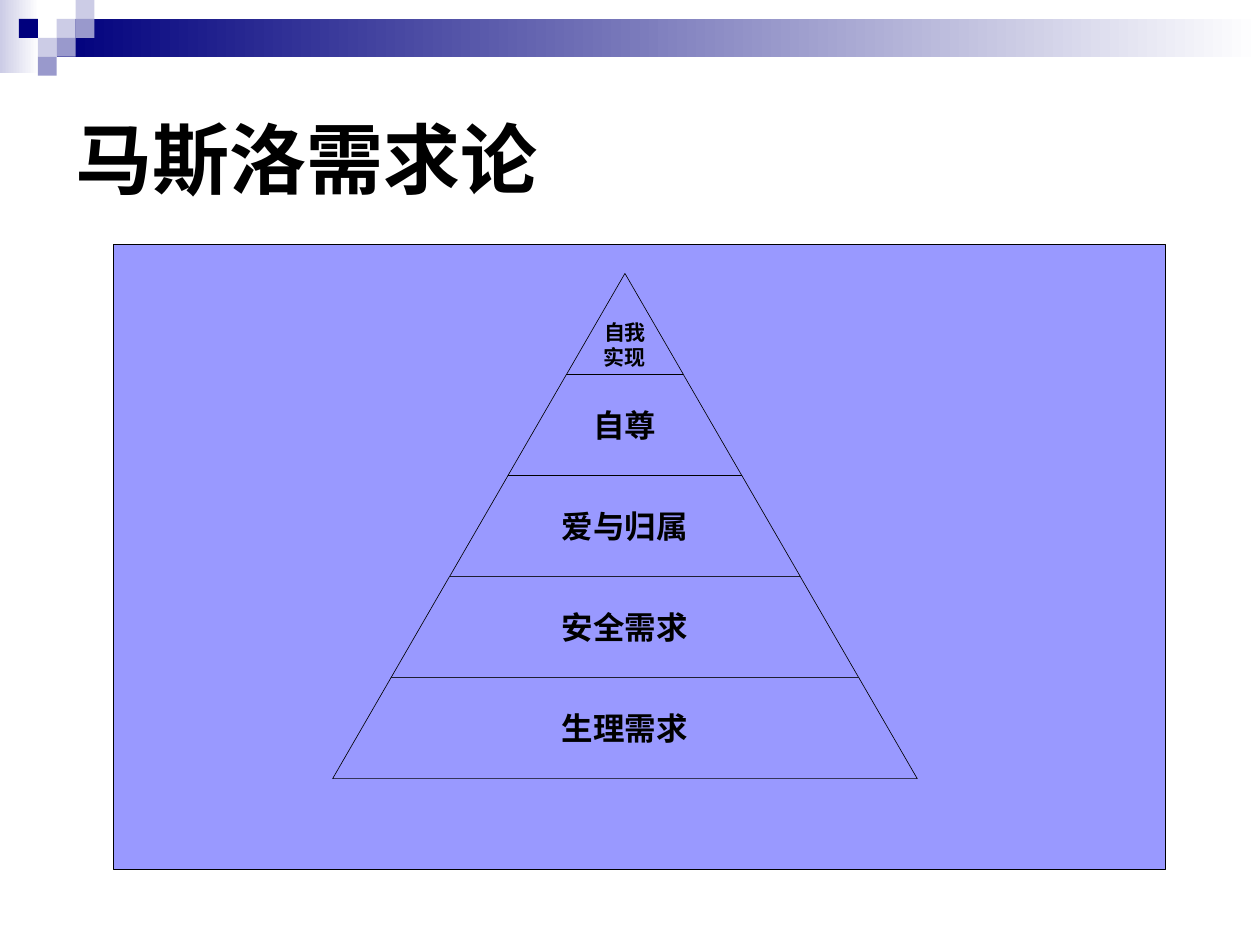
import pptx
import pptx.dml.color
import pptx.enum.shapes
import pptx.enum.text
import pptx.util

Inches = pptx.util.Inches
RGBColor = pptx.dml.color.RGBColor

BLACK = RGBColor(0x00, 0x00, 0x00)
WHITE = RGBColor(0xFF, 0xFF, 0xFF)
NAVY = RGBColor(0x00, 0x00, 0x7D)
LAVENDER = RGBColor(0xCC, 0xCC, 0xE6)
MID_BLUE = RGBColor(0x99, 0x99, 0xCC)
PERIWINKLE = RGBColor(0x99, 0x99, 0xFF)

NEEDS = ["自我实现", "自尊", "爱与归属", "安全需求", "生理需求"]


def add_rectangle(shapes, left, top, width, height):
    rectangle = shapes.add_shape(
        pptx.enum.shapes.MSO_SHAPE.RECTANGLE,
        Inches(left), Inches(top), Inches(width), Inches(height))
    rectangle.shadow.inherit = False
    rectangle.line.fill.background()
    return rectangle


def fill_fading_to_white(shape, color):
    shape.fill.gradient()
    shape.fill.gradient_angle = 0
    for stop, stop_color, position in zip(
            shape.fill.gradient_stops, (color, WHITE), (0, 1)):
        stop.color.rgb = stop_color
        stop.position = position


def fill_and_outline(shape, line_width):
    shape.fill.solid()
    shape.fill.fore_color.rgb = PERIWINKLE
    shape.line.color.rgb = BLACK
    shape.line.width = pptx.util.Pt(line_width)


def format_text(text_frame, size, alignment):
    text_frame.vertical_anchor = pptx.enum.text.MSO_ANCHOR.MIDDLE
    paragraph = text_frame.paragraphs[0]
    paragraph.alignment = alignment
    for run in paragraph.runs:
        run.font.name = "Arial"
        run.font.size = pptx.util.Pt(size)
        run.font.bold = True
        run.font.color.rgb = BLACK


def fit_label_in_apex(text_frame):
    """Wrap the label to two short lines near the base of the top triangle."""
    text_frame.word_wrap = True
    text_frame.margin_left = text_frame.margin_right = Inches(0.26)
    text_frame.margin_top = Inches(0)
    text_frame.margin_bottom = Inches(0.04)
    text_frame.vertical_anchor = pptx.enum.text.MSO_ANCHOR.BOTTOM
    text_frame.paragraphs[0].line_spacing = pptx.util.Pt(14)


def add_header(slide, left, top, width):
    shapes = slide.shapes.add_group_shape().shapes
    square = 0.15
    corner = add_rectangle(shapes, left, top, 0.31, 0.58)
    fill_fading_to_white(corner, LAVENDER)
    band = add_rectangle(shapes, left + 3 * square, top + square,
                         width - 3 * square, 2 * square)
    fill_fading_to_white(band, NAVY)
    mosaic = [(3, 1, LAVENDER), (4, 0, LAVENDER), (4, 1, MID_BLUE),
              (2, 2, LAVENDER), (1, 1, NAVY), (3, 2, MID_BLUE),
              (2, 3, MID_BLUE)]
    for column, row, color in mosaic:
        tile = add_rectangle(shapes, left + column * square,
                             top + row * square, square, square)
        tile.fill.solid()
        tile.fill.fore_color.rgb = color


def place_title(slide, left, top, width, height):
    title = slide.shapes.title
    title.left, title.top = Inches(left), Inches(top)
    title.width, title.height = Inches(width), Inches(height)
    title.text_frame.text = "马斯洛需求论"
    title.text_frame.auto_size = pptx.enum.text.MSO_AUTO_SIZE.NONE
    format_text(title.text_frame, 44, pptx.enum.text.PP_ALIGN.LEFT)


def add_pyramid(slide, left, top, width, height):
    shapes = slide.shapes.add_group_shape().shapes
    center = left + width / 2
    tier_height = height / len(NEEDS)
    half_step = width / 2 / len(NEEDS)
    for index, need in enumerate(NEEDS):
        is_apex = index == 0
        upper = top + index * tier_height
        lower = upper + tier_height
        upper_half = index * half_step
        lower_half = upper_half + half_step
        corners = [(center - lower_half, lower), (center + lower_half, lower),
                   (center + upper_half, upper)]
        if not is_apex:
            corners.append((center - upper_half, upper))
        points = [(Inches(x), Inches(y)) for x, y in corners]
        builder = shapes.build_freeform(*points[0])
        builder.add_line_segments(points[1:], close=True)
        tier = builder.convert_to_shape()
        tier.shadow.inherit = False
        fill_and_outline(tier, 0.37)
        tier.text_frame.text = need
        tier.text_frame.word_wrap = False
        format_text(tier.text_frame, 12 if is_apex else 18,
                    pptx.enum.text.PP_ALIGN.CENTER)
        if is_apex:
            fit_label_in_apex(tier.text_frame)


def main():
    presentation = pptx.Presentation()
    presentation.slide_width = Inches(10)
    presentation.slide_height = Inches(7.5)
    slide = presentation.slides.add_slide(presentation.slide_layouts[5])
    add_header(slide, 0, 0, 10)
    place_title(slide, 0.5, 0.5, 9, 1.5)
    panel = add_rectangle(slide.shapes, 0.9, 1.94, 8.35, 4.96)
    fill_and_outline(panel, 0.75)
    add_pyramid(slide, 2.64, 2.17, 4.64, 4.01)
    presentation.save("out.pptx")


if __name__ == "__main__":
    main()
